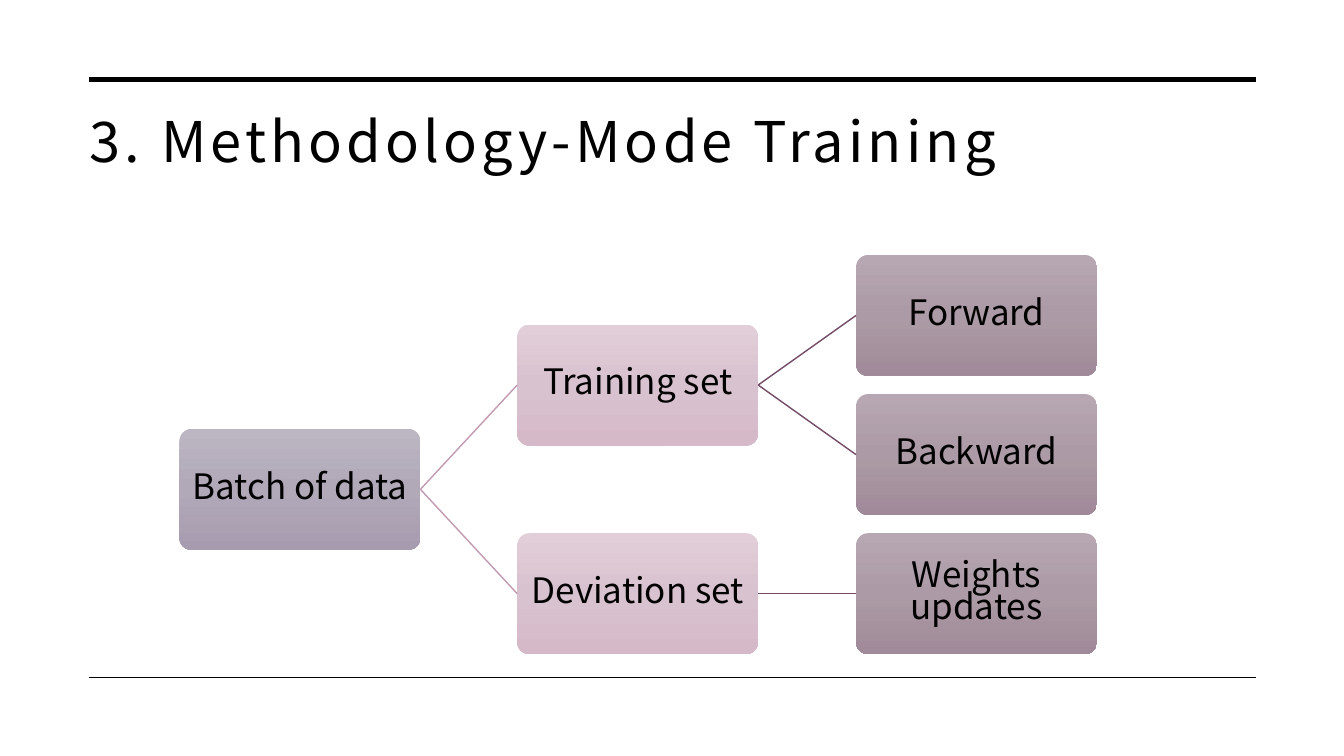
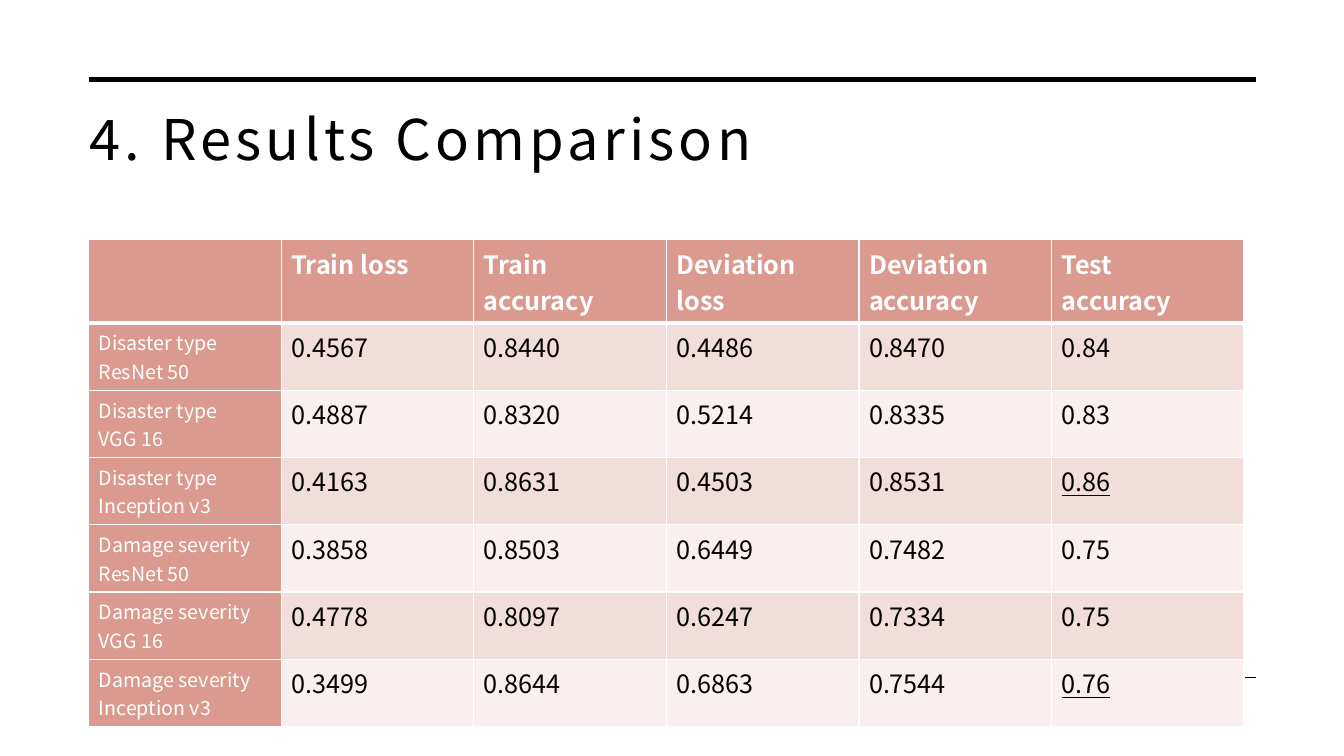
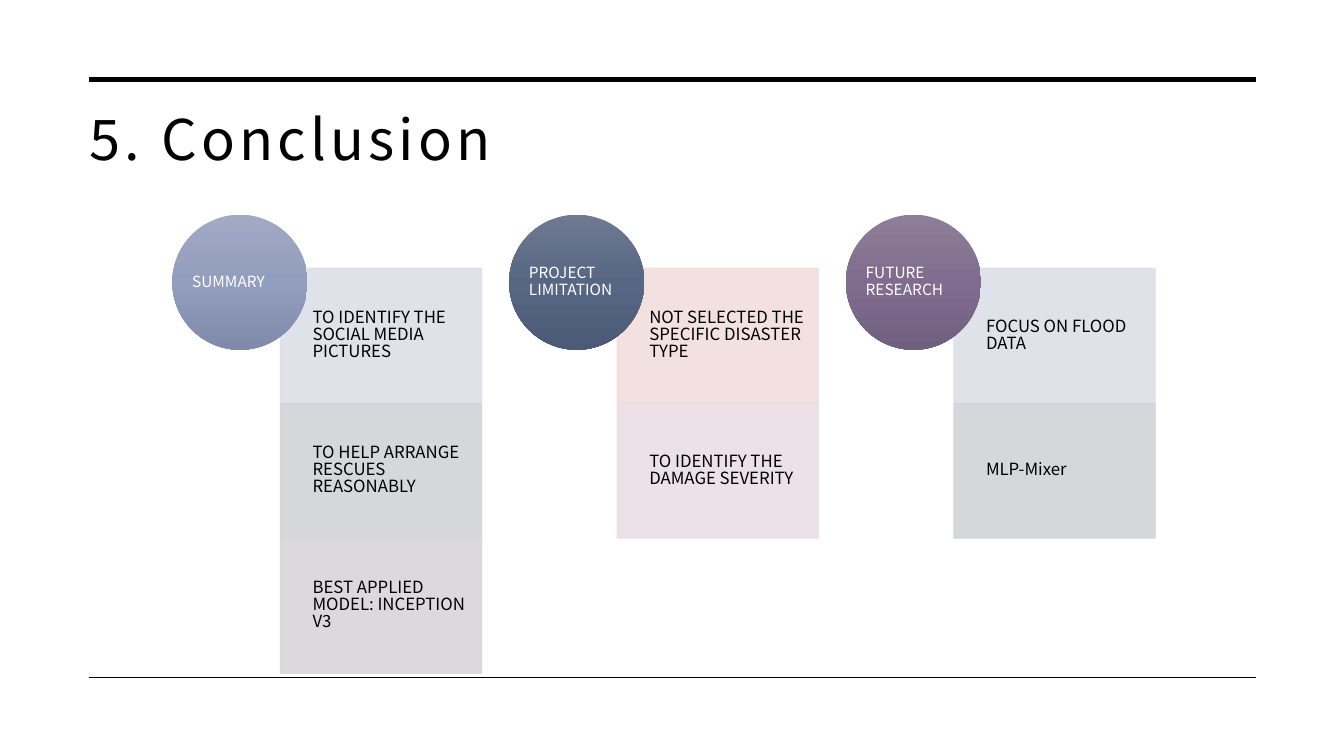
from lxml.etree import SubElement
from pptx import Presentation
from pptx.dml.color import RGBColor
from pptx.enum.shapes import MSO_CONNECTOR as CONN, MSO_SHAPE as SHAPE
from pptx.enum.text import MSO_ANCHOR as ANCHOR, MSO_AUTO_SIZE as AUTO, PP_ALIGN as ALIGN
from pptx.oxml.ns import qn
from pptx.util import Inches, Pt

FONT = "Noto Sans CJK SC"
BLACK = RGBColor(0x00, 0x00, 0x00)
WHITE = RGBColor(0xFF, 0xFF, 0xFF)
CORAL = RGBColor(0xDB, 0x9A, 0x8F)
CORAL_PALE = RGBColor(0xF1, 0xDE, 0xDB)
CORAL_FAINT = RGBColor(0xF8, 0xEF, 0xEE)
ROSE_LINE = RGBColor(0xC2, 0x9A, 0xB1)
PLUM_LINE = RGBColor(0x73, 0x4B, 0x67)
BLUE_PALE = RGBColor(0xDD, 0xDF, 0xE7)
GREY_PALE = RGBColor(0xD1, 0xD3, 0xD8)
MAUVE_PALE = RGBColor(0xD8, 0xD5, 0xDA)
PINK_PALE = RGBColor(0xE9, 0xDE, 0xE4)
LILAC = [RGBColor(0xBC, 0xB5, 0xC2), RGBColor(0xB1, 0xA9, 0xB8), RGBColor(0xA6, 0x9B, 0xAF)]
ROSE = [RGBColor(0xE1, 0xCE, 0xD9), RGBColor(0xD9, 0xC2, 0xCF), RGBColor(0xD6, 0xB9, 0xC9)]
PLUM = [RGBColor(0xB7, 0xA7, 0xB2), RGBColor(0xAC, 0x9B, 0xA6), RGBColor(0xA0, 0x89, 0x98)]
PERIWINKLE = [RGBColor(0xA1, 0xA9, 0xC3), RGBColor(0x93, 0x9D, 0xBD), RGBColor(0x80, 0x8A, 0xAA)]
NAVY = [RGBColor(0x6E, 0x7A, 0x90), RGBColor(0x57, 0x66, 0x83), RGBColor(0x4C, 0x5A, 0x76)]
VIOLET = [RGBColor(0x8E, 0x7F, 0x99), RGBColor(0x7F, 0x6C, 0x8E), RGBColor(0x71, 0x5F, 0x7F)]

TREE = ("Batch of data", [
    ("Training set", [("Forward", []), ("Backward", [])]),
    ("Deviation set", [("Weights updates", [])]),
])
TREE_LEFTS = [1.78, 5.13, 8.49]
TREE_FILLS = [LILAC, ROSE, PLUM]
TREE_LINES = [ROSE_LINE, PLUM_LINE]
NODE_W, NODE_H = 2.39, 1.2
LEAF_TOP, LEAF_STEP = 2.53, 1.38

RESULTS = [
    ["", "Train loss", "Train\naccuracy", "Deviation loss", "Deviation accuracy", "Test\naccuracy"],
    ["Disaster type\nResNet 50", "0.4567", "0.8440", "0.4486", "0.8470", "0.84"],
    ["Disaster type\nVGG 16", "0.4887", "0.8320", "0.5214", "0.8335", "0.83"],
    ["Disaster type\nInception v3", "0.4163", "0.8631", "0.4503", "0.8531", "0.86"],
    ["Damage severity\nResNet 50", "0.3858", "0.8503", "0.6449", "0.7482", "0.75"],
    ["Damage severity\nVGG 16", "0.4778", "0.8097", "0.6247", "0.7334", "0.75"],
    ["Damage severity\nInception v3", "0.3499", "0.8644", "0.6863", "0.7544", "0.76"],
]
BEST = {"0.86", "0.76"}
HEAD_H, ROW_H = 0.82, 0.66

CONCLUSIONS = [
    ("SUMMARY", PERIWINKLE, [
        ("TO IDENTIFY THE SOCIAL MEDIA PICTURES", BLUE_PALE),
        ("TO HELP ARRANGE RESCUES REASONABLY", GREY_PALE),
        ("BEST APPLIED MODEL: INCEPTION V3", MAUVE_PALE),
    ]),
    ("PROJECT LIMITATION", NAVY, [
        ("NOT SELECTED THE SPECIFIC DISASTER TYPE", CORAL_PALE),
        ("TO IDENTIFY THE DAMAGE SEVERITY", PINK_PALE),
    ]),
    ("FUTURE RESEARCH", VIOLET, [
        ("FOCUS ON FLOOD DATA", BLUE_PALE),
        ("MLP-Mixer", GREY_PALE),
    ]),
]
GROUP_LEFT, GROUP_STEP = 1.71, 3.34
CIRCLE_TOP, CIRCLE_SIZE = 2.13, 1.34
CARD_INDENT, CARD_TOP, CARD_W, CARD_H = 1.07, 2.66, 2, 1.34


def put_text(tf, text, size, color=BLACK, bold=False, underline=False, align=ALIGN.LEFT,
             spacing=1.0, anchor=None, margins=None, tracking=0):
    tf.word_wrap = True
    if anchor is not None:
        tf.vertical_anchor = anchor
    if margins:
        tf.margin_left, tf.margin_top, tf.margin_right, tf.margin_bottom = map(Inches, margins)
    for i, line in enumerate(text.split("\n")):
        p = tf.paragraphs[0] if i == 0 else tf.add_paragraph()
        p.alignment, p.line_spacing = align, spacing
        r = p.add_run()
        r.text = line
        f = r.font
        f.name, f.size, f.bold, f.underline = FONT, Pt(size), bold, underline
        f.color.rgb = color
        rPr = r._r.get_or_add_rPr()
        SubElement(rPr, qn("a:ea")).set("typeface", FONT)
        if tracking:
            rPr.set("spc", str(tracking * 100))


def add_line(s, x1, y1, x2, y2, color, width):
    line = s.shapes.add_connector(CONN.STRAIGHT, Inches(x1), Inches(y1), Inches(x2), Inches(y2))
    line.line.color.rgb, line.line.width = color, Pt(width)
    SubElement(line._element.spPr, qn("a:effectLst"))


def add_shape(s, kind, x, y, w, h):
    sp = s.shapes.add_shape(kind, Inches(x), Inches(y), Inches(w), Inches(h))
    sp.shadow.inherit = False
    sp.line.fill.background()
    return sp


def fill_gradient(sp, colors):
    sp.fill.gradient()
    sp.fill.gradient_angle = 270
    stops = sp._element.spPr.find(qn("a:gradFill")).find(qn("a:gsLst"))
    for stop in list(stops):
        stops.remove(stop)
    for i, color in enumerate(colors):
        stop = SubElement(stops, qn("a:gs"), pos=str(i * 50000))
        SubElement(stop, qn("a:srgbClr"), val=str(color))


def add_slide(prs, title, top=0.99, height=1.5):
    s = prs.slides.add_slide(prs.slide_layouts[5])
    sp = s.shapes.title
    sp.left, sp.top, sp.width, sp.height = map(Inches, (0.77, top, 11.69, height))
    sp.text_frame.auto_size = AUTO.NONE
    put_text(sp.text_frame, title, 40, spacing=0.9, anchor=ANCHOR.TOP,
             margins=(0.12, 0.12, 0.12, 0.1), tracking=3)
    for y, width in ((0.79, 3.5), (6.72, 1)):
        add_line(s, 0.88, y, 12.46, y, BLACK, width)
    return s


def draw_tree(s, node, depth, first_leaf):
    text, children = node
    x = TREE_LEFTS[depth]
    tops, leaf = [], first_leaf
    for child in children:
        top, leaf = draw_tree(s, child, depth + 1, leaf)
        tops.append(top)
    if tops:
        y = (tops[0] + tops[-1]) / 2
    else:
        y, leaf = LEAF_TOP + first_leaf * LEAF_STEP, first_leaf + 1
    for top in tops:
        add_line(s, x + NODE_W, y + NODE_H / 2, TREE_LEFTS[depth + 1], top + NODE_H / 2,
                 TREE_LINES[depth], 1)
    sp = add_shape(s, SHAPE.ROUNDED_RECTANGLE, x, y, NODE_W, NODE_H)
    sp.adjustments[0] = 0.1
    fill_gradient(sp, TREE_FILLS[depth])
    put_text(sp.text_frame, text, 25, align=ALIGN.CENTER, spacing=0.78, anchor=ANCHOR.MIDDLE,
             margins=(0.04, 0.04, 0.04, 0.04))
    return y, leaf


def set_borders(cell, bottom):
    tcPr = cell._tc.get_or_add_tcPr()
    for i, (side, width) in enumerate((("L", 1), ("R", 1), ("T", 1), ("B", bottom))):
        ln = tcPr.makeelement(qn("a:ln" + side), {"w": str(Pt(width))})
        fill = SubElement(ln, qn("a:solidFill"))
        SubElement(fill, qn("a:srgbClr"), val=str(WHITE))
        tcPr.insert(i, ln)


def draw_results(s):
    rows, cols = len(RESULTS), len(RESULTS[0])
    table = s.shapes.add_table(rows, cols, Inches(0.88), Inches(2.38), Inches(11.46),
                               Inches(HEAD_H + ROW_H * (rows - 1))).table
    for i, values in enumerate(RESULTS):
        table.rows[i].height = Inches(ROW_H if i else HEAD_H)
        for j, value in enumerate(values):
            cell = table.cell(i, j)
            label = i == 0 or j == 0
            cell.fill.solid()
            cell.fill.fore_color.rgb = CORAL if label else (CORAL_PALE if i % 2 else CORAL_FAINT)
            set_borders(cell, 1 if i else 3)
            put_text(cell.text_frame, value, 14 if i and j == 0 else 18,
                     color=WHITE if label else BLACK, bold=i == 0, underline=value in BEST)


def draw_conclusions(s):
    for i, (heading, colors, cards) in enumerate(CONCLUSIONS):
        x = GROUP_LEFT + i * GROUP_STEP
        for j, (text, color) in enumerate(cards):
            card = add_shape(s, SHAPE.RECTANGLE, x + CARD_INDENT, CARD_TOP + j * CARD_H,
                             CARD_W, CARD_H)
            card.fill.solid()
            card.fill.fore_color.rgb = color
            card.line.color.rgb, card.line.width = color, Pt(0.5)
            for clr in card._element.spPr.iter(qn("a:srgbClr")):
                SubElement(clr, qn("a:alpha"), val="90000")
            put_text(card.text_frame, text, 12, spacing=0.84, anchor=ANCHOR.MIDDLE,
                     margins=(0.32, 0.09, 0.09, 0.09))
        circle = add_shape(s, SHAPE.OVAL, x, CIRCLE_TOP, CIRCLE_SIZE, CIRCLE_SIZE)
        fill_gradient(circle, colors)
        put_text(circle.text_frame, heading, 11, color=WHITE, spacing=0.87,
                 anchor=ANCHOR.MIDDLE, margins=(0, 0, 0, 0))


def main():
    prs = Presentation()
    prs.slide_width, prs.slide_height = Inches(13.33), Inches(7.5)
    draw_tree(add_slide(prs, "3. Methodology-Mode Training", top=1.01), TREE, 0, 0)
    draw_results(add_slide(prs, "4. Results Comparison"))
    draw_conclusions(add_slide(prs, "5. Conclusion", height=1.26))
    prs.save("out.pptx")


if __name__ == "__main__":
    main()
